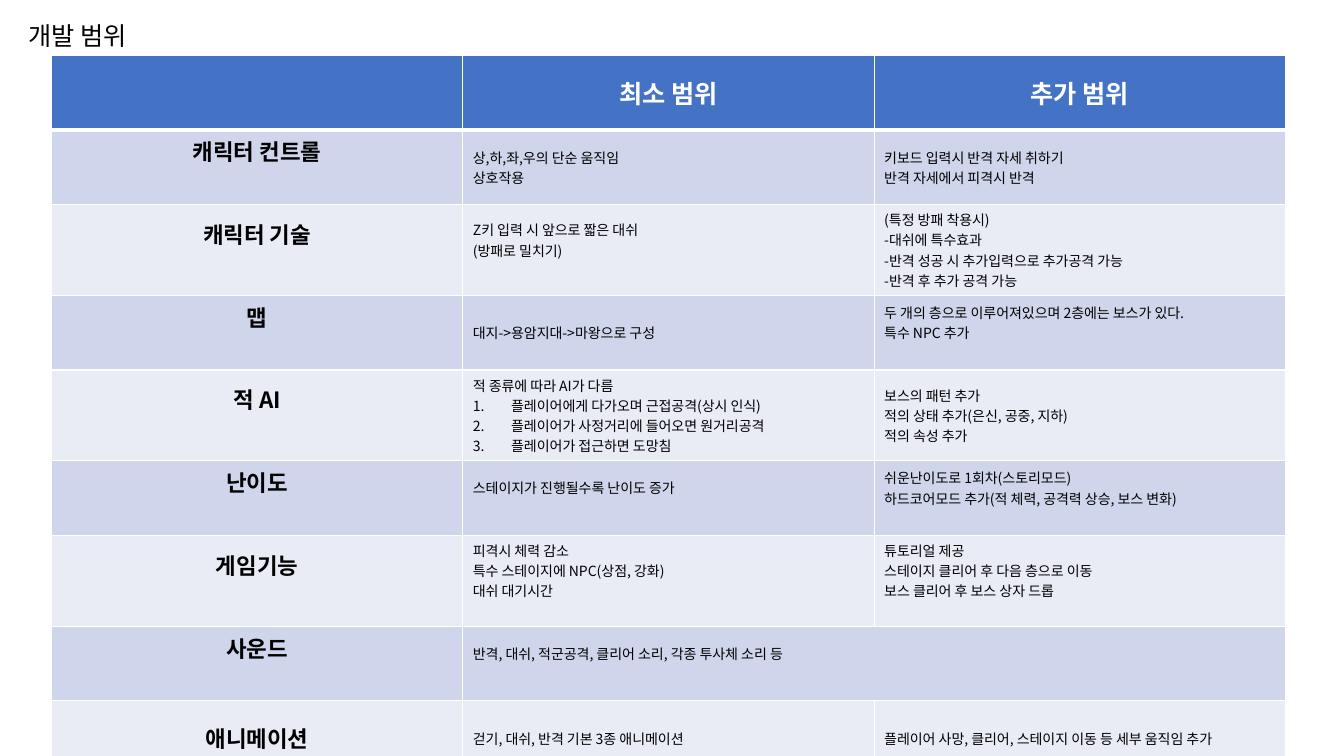
from lxml import etree
from pptx import Presentation
from pptx.dml.color import RGBColor
from pptx.enum.text import MSO_ANCHOR, MSO_AUTO_SIZE, PP_ALIGN
from pptx.oxml.ns import qn
from pptx.util import Inches, Pt

MIDDLE = MSO_ANCHOR.MIDDLE
GROW = MSO_AUTO_SIZE.SHAPE_TO_FIT_TEXT
LEFT, CENTER = PP_ALIGN.LEFT, PP_ALIGN.CENTER

COLORS = {"header": "4472C4", "odd": "CFD5EA", "even": "E9EBF5",
          "white": "FFFFFF", "black": "000000"}
FONT = "Noto Sans CJK KR"
SLIDE_WIDTH, SLIDE_HEIGHT = 13.33, 7.5
ROW_HEIGHT, COLUMN_WIDTH = 0.74, 4.08
MARGIN = 0.05
LABEL_RAISE, BODY_RAISE = 0.32, 0.2

HEADINGS = ["", "최소 범위", "추가 범위"]
SCOPE_ROWS = [
    ("캐릭터 컨트롤",
     ["상,하,좌,우의 단순 움직임", "상호작용"],
     ["키보드 입력시 반격 자세 취하기", "반격 자세에서 피격시 반격"]),
    ("캐릭터 기술",
     ["Z키 입력 시 앞으로 짧은 대쉬", "(방패로 밀치기)"],
     ["(특정 방패 착용시)", "-대쉬에 특수효과",
      "-반격 성공 시 추가입력으로 추가공격 가능", "-반격 후 추가 공격 가능"]),
    ("맵",
     ["대지->용암지대->마왕으로 구성"],
     ["두 개의 층으로 이루어져있으며 2층에는 보스가 있다.", "특수 NPC 추가"]),
    ("적 AI",
     ["적 종류에 따라 AI가 다름", "플레이어에게 다가오며 근접공격(상시 인식)",
      "플레이어가 사정거리에 들어오면 원거리공격", "플레이어가 접근하면 도망침"],
     ["보스의 패턴 추가", "적의 상태 추가(은신, 공중, 지하)", "적의 속성 추가"]),
    ("난이도",
     ["스테이지가 진행될수록 난이도 증가"],
     ["쉬운난이도로 1회차(스토리모드)",
      "하드코어모드 추가(적 체력, 공격력 상승, 보스 변화)"]),
    ("게임기능",
     ["피격시 체력 감소", "특수 스테이지에 NPC(상점, 강화)", "대쉬 대기시간"],
     ["튜토리얼 제공", "스테이지 클리어 후 다음 층으로 이동",
      "보스 클리어 후 보스 상자 드롭"]),
    ("사운드",
     ["반격, 대쉬, 적군공격, 클리어 소리, 각종 투사체 소리 등"],
     None),
    ("애니메이션",
     ["걷기, 대쉬, 반격 기본 3종 애니메이션"],
     ["플레이어 사망, 클리어, 스테이지 이동 등 세부 움직임 추가"]),
]
NUMBERED_CELL = (4, 1)
RAISED_CELLS = {(2, 1), (3, 2), (5, 1), (5, 2), (6, 1), (6, 2), (7, 1)}


def write_text(frame, lines, size=10, color="black", bold=False,
               align=LEFT, numbered=False):
    for index, line in enumerate(lines):
        para = frame.paragraphs[0] if index == 0 else frame.add_paragraph()
        para.alignment = align
        if numbered and index > 0:
            properties = para._p.get_or_add_pPr()
            properties.set("marL", str(Inches(0.38)))
            properties.set("indent", str(-Inches(0.38)))
            etree.SubElement(properties, qn("a:buAutoNum"), type="arabicPeriod")
        span = para.add_run()
        span.text = line
        span.font.size = Pt(size)
        span.font.bold = bold
        span.font.color.rgb = RGBColor.from_string(COLORS[color])
        span.font.name = FONT
        etree.SubElement(span._r.get_or_add_rPr(), qn("a:ea"), typeface=FONT)


def style_cell(cell, row, fill):
    properties = cell._tc.get_or_add_tcPr()
    widths = {"L": 1, "R": 1, "T": 3 if row == 1 else 1, "B": 3 if row == 0 else 1}
    for side, width in widths.items():
        line = etree.SubElement(properties, qn(f"a:ln{side}"), w=str(Pt(width)))
        solid = etree.SubElement(line, qn("a:solidFill"))
        etree.SubElement(solid, qn("a:srgbClr"), val=COLORS["white"])
    cell.fill.solid()
    cell.fill.fore_color.rgb = RGBColor.from_string(COLORS[fill])
    cell.vertical_anchor = MIDDLE


def add_title(page, left, top, width, height):
    box = page.shapes.add_textbox(Inches(left), Inches(top),
                                  Inches(width), Inches(height))
    box.text_frame.word_wrap = False
    box.text_frame.auto_size = GROW
    write_text(box.text_frame, ["개발 범위"], size=18)


def add_scope_table(page, left, top):
    row_count, column_count = len(SCOPE_ROWS) + 1, len(HEADINGS)
    frame = page.shapes.add_table(
        row_count, column_count, Inches(left), Inches(top),
        Inches(COLUMN_WIDTH * column_count), Inches(ROW_HEIGHT * row_count))
    table = frame.table
    for column in table.columns:
        column.width = Inches(COLUMN_WIDTH)
    for table_row in table.rows:
        table_row.height = Inches(ROW_HEIGHT)

    for column, heading in enumerate(HEADINGS):
        cell = table.cell(0, column)
        style_cell(cell, 0, "header")
        if heading:
            write_text(cell.text_frame, [heading], size=18, color="white",
                       bold=True, align=CENTER)

    for row, (label, minimum, extra) in enumerate(SCOPE_ROWS, start=1):
        fill = "odd" if row % 2 else "even"
        for column in range(column_count):
            style_cell(table.cell(row, column), row, fill)
        label_cell = table.cell(row, 0)
        write_text(label_cell.text_frame, [label], size=16, bold=True, align=CENTER)
        if row < len(SCOPE_ROWS):
            label_cell.margin_bottom = Inches(MARGIN + LABEL_RAISE)
        if extra is None:
            table.cell(row, 1).merge(table.cell(row, 2))
        for column, lines in enumerate([minimum, extra], start=1):
            if lines is None:
                continue
            cell = table.cell(row, column)
            write_text(cell.text_frame, lines,
                       numbered=(row, column) == NUMBERED_CELL)
            if (row, column) in RAISED_CELLS:
                cell.margin_bottom = Inches(MARGIN + BODY_RAISE)


def main():
    deck = Presentation()
    deck.slide_width = Inches(SLIDE_WIDTH)
    deck.slide_height = Inches(SLIDE_HEIGHT)
    page = deck.slides.add_slide(deck.slide_layouts[6])
    add_scope_table(page, 0.51, 0.55)
    add_title(page, 0.18, 0.15, 1.3, 0.4)
    deck.save("out.pptx")


if __name__ == "__main__":
    main()
